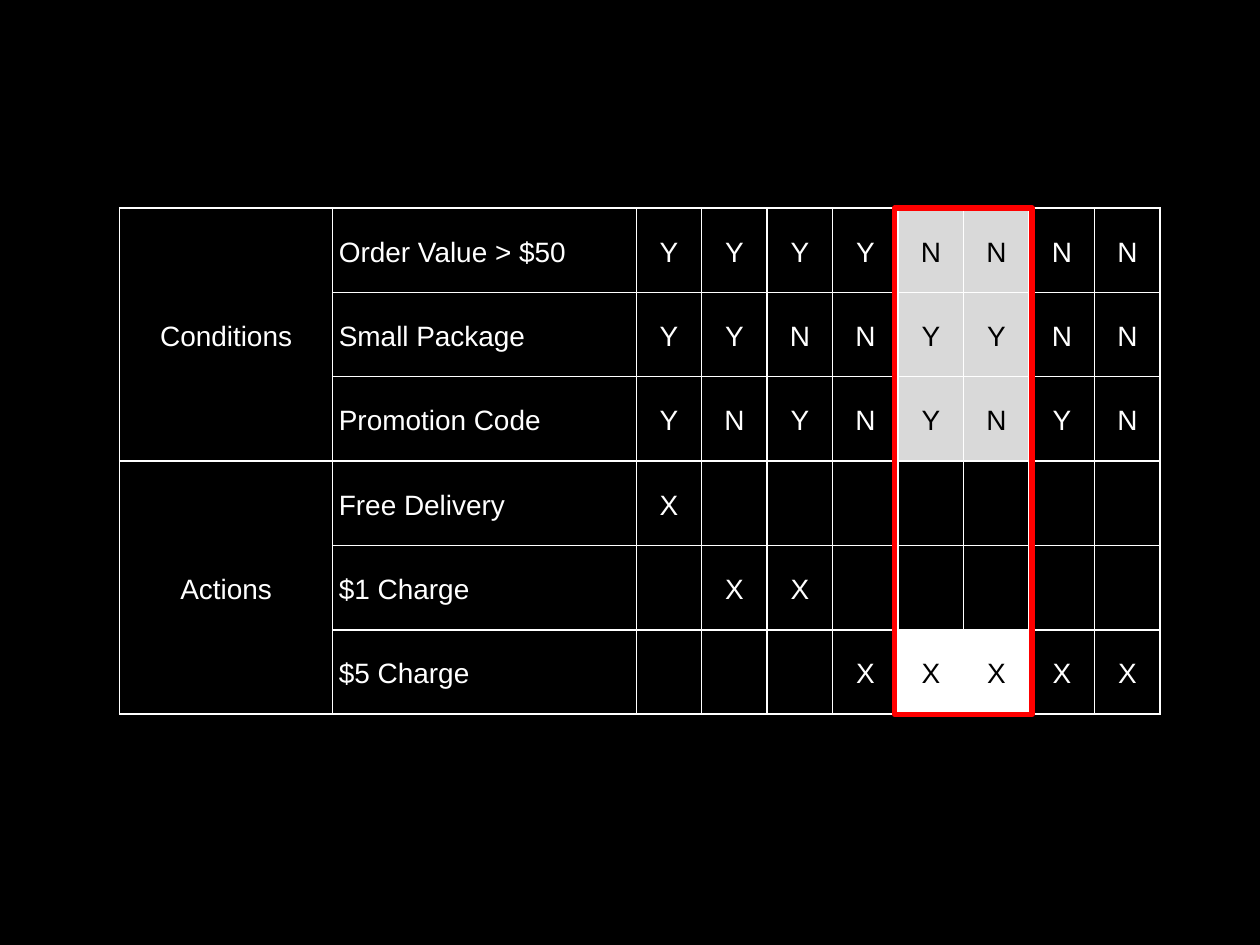
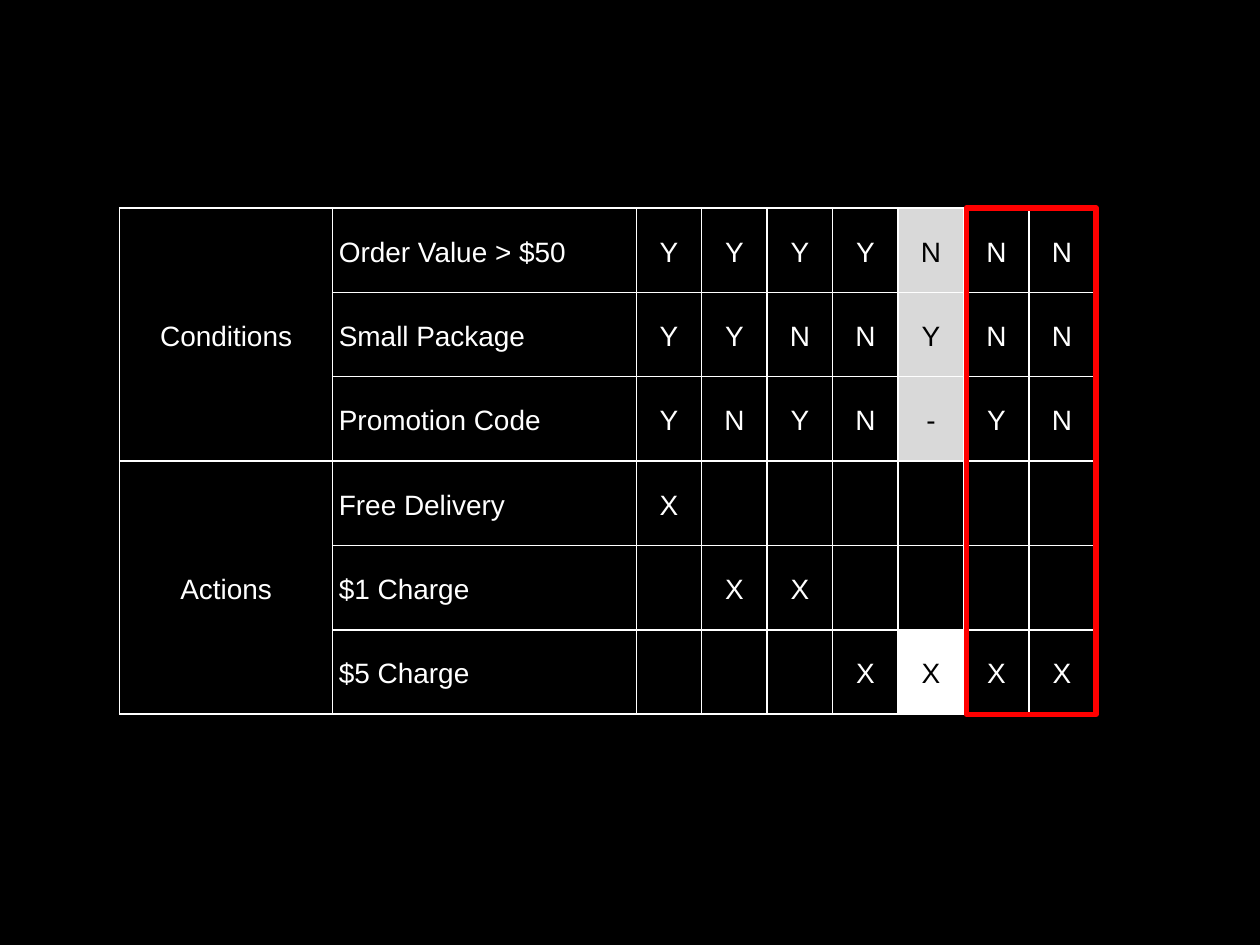
"""Build two slides that simplify a delivery decision table step by step."""
from lxml import etree
from pptx import Presentation
from pptx import util as u
from pptx.dml.color import RGBColor
from pptx.enum import shapes, text
from pptx.oxml.ns import qn

BLACK = RGBColor(0, 0, 0)
WHITE = RGBColor(255, 255, 255)
GREY = RGBColor(0xD9, 0xD9, 0xD9)
RED = RGBColor(255, 0, 0)

LEFT, TOP = 0.95, 1.65
HEADS = [1.69, 2.41]
RULE, ROW = 0.52, 0.67
GROUPS = ["Conditions", "Actions"]
LABELS = ["Order Value > $50", "Small Package", "Promotion Code",
          "Free Delivery", "$1 Charge", "$5 Charge"]
HALF = len(LABELS) // len(GROUPS)
LAST = len(LABELS) - 1

# Each row string holds one mark per rule; a dot is an empty cell.
STEPS = [
    {"marks": ["YYYYNNNN", "YYNNYYNN", "YNYNYNYN",
               "X.......", ".XX.....", "...XXXXX"],
     "lit": [4, 5], "frame": (7.10, 1.09)},
    {"marks": ["YYYYNNN", "YYNNYNN", "YNYN-YN",
               "X......", ".XX....", "...XXXX"],
     "lit": [4], "frame": (7.67, 1.03)},
]


def write(cell, words, ink=WHITE, side=text.PP_ALIGN.CENTER):
    """Put formatted words in a cell."""
    para = cell.text_frame.paragraphs[0]
    para.alignment = side
    para.line_spacing = 1.15
    run = para.add_run()
    run.text = words
    run.font.name = "Arial"
    run.font.size = u.Pt(16)
    run.font.color.rgb = ink


def edge(cell):
    """Draw a thin white line on all four sides of a cell."""
    props = cell._tc.get_or_add_tcPr()
    for tag in ("a:lnL", "a:lnR", "a:lnT", "a:lnB"):
        line = etree.SubElement(props, qn(tag), w=str(u.Pt(1)))
        fill = etree.SubElement(line, qn("a:solidFill"))
        etree.SubElement(fill, qn("a:srgbClr"), val=str(WHITE))


deck = Presentation()
deck.slide_width, deck.slide_height = u.Inches(10), u.Inches(7.5)

for step in STEPS:
    slide = deck.slides.add_slide(deck.slide_layouts[6])
    slide.background.fill.solid()
    slide.background.fill.fore_color.rgb = BLACK

    widths = HEADS + [RULE] * len(step["marks"][0])
    high = u.Inches(ROW * len(LABELS))
    grid = slide.shapes.add_table(
        len(LABELS), len(widths), u.Inches(LEFT), u.Inches(TOP),
        u.Inches(sum(widths)), high).table
    grid.first_row = grid.horz_banding = False
    for col, width in zip(grid.columns, widths):
        col.width = u.Inches(width)

    for cell in grid.iter_cells():
        cell.margin_left = cell.margin_right = u.Inches(0.05)
        cell.margin_top = cell.margin_bottom = u.Inches(0.05)
        cell.vertical_anchor = text.MSO_ANCHOR.MIDDLE
        edge(cell)
        cell.fill.background()

    for num, group in enumerate(GROUPS):
        top = grid.cell(num * HALF, 0)
        top.merge(grid.cell(num * HALF + HALF - 1, 0))
        write(top, group)

    for row, (label, marks) in enumerate(zip(LABELS, step["marks"])):
        write(grid.cell(row, 1), label, side=text.PP_ALIGN.LEFT)
        for rule, mark in enumerate(marks):
            cell = grid.cell(row, rule + len(HEADS))
            lit = rule in step["lit"] and (row < HALF or row == LAST)
            if lit:
                cell.fill.solid()
                cell.fill.fore_color.rgb = GREY if row < HALF else WHITE
            if mark != ".":
                write(cell, mark, ink=BLACK if lit else WHITE)

    left, wide = step["frame"]
    frame = slide.shapes.add_shape(
        shapes.MSO_SHAPE.RECTANGLE, u.Inches(left), u.Inches(TOP),
        u.Inches(wide), high)
    frame.shadow.inherit = False
    frame.fill.background()
    frame.line.color.rgb = RED
    frame.line.width = u.Pt(3)

deck.save("out.pptx")
